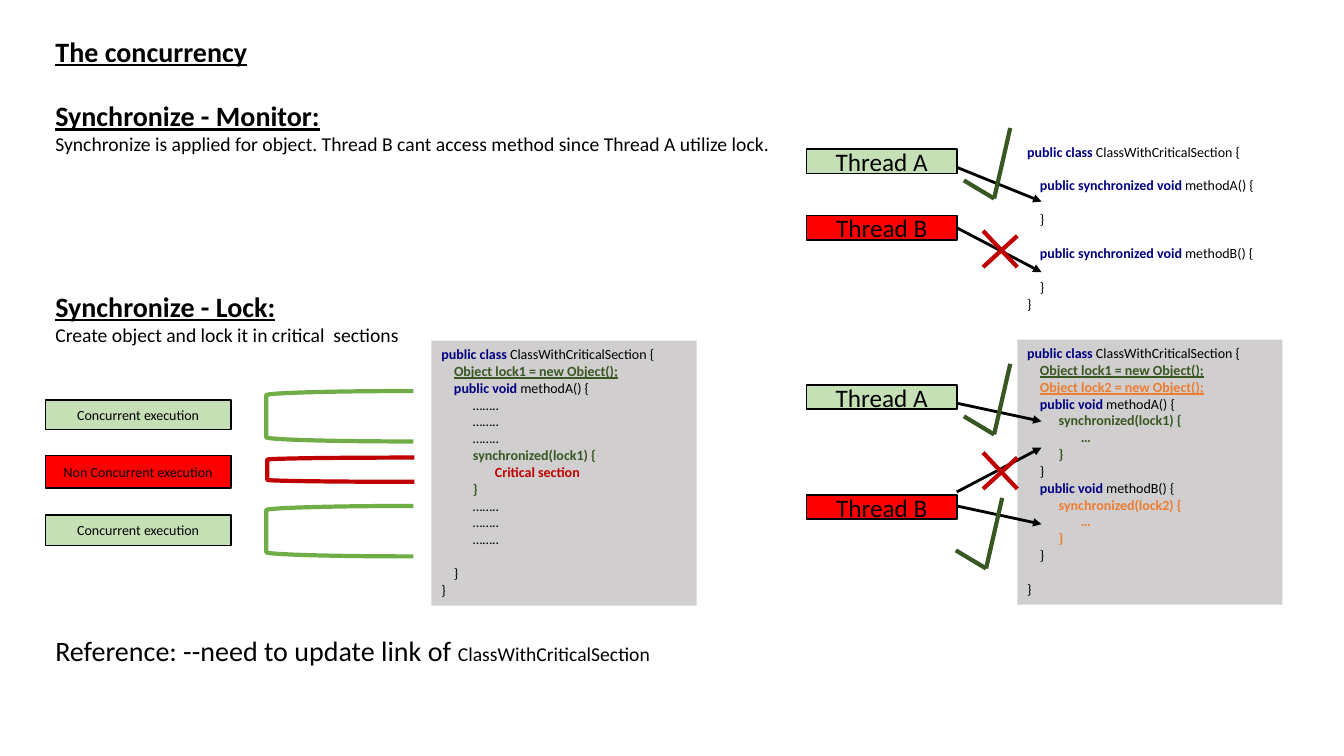
from lxml import etree
from pptx import Presentation
from pptx.dml.color import RGBColor
from pptx.enum.shapes import MSO_CONNECTOR, MSO_SHAPE
from pptx.enum.text import MSO_ANCHOR, MSO_AUTO_SIZE, PP_ALIGN
from pptx.oxml.ns import qn
from pptx.util import Inches, Pt

STRAIGHT = MSO_CONNECTOR.STRAIGHT
RECTANGLE, BRACKET = MSO_SHAPE.RECTANGLE, MSO_SHAPE.LEFT_BRACKET
TOP, MIDDLE = MSO_ANCHOR.TOP, MSO_ANCHOR.MIDDLE
LEFT, CENTER = PP_ALIGN.LEFT, PP_ALIGN.CENTER
NO_FIT = MSO_AUTO_SIZE.NONE

COLORS = {
    "black": "000000", "navy": "000080", "forest": "385723", "orange": "ED7D31",
    "crimson": "C00000", "red": "FF0000", "mint": "C5E0B4", "leaf": "70AD47",
    "gray": "D0CECE",
}
FONT = "Calibri"
LINE_HEIGHT = 12.2

CLASS_LINE = [("public class ", "navy"), ("ClassWithCriticalSection {", "black")]


def method_line(name, keywords="public void "):
    """Return the spans of a method header."""
    return [("    " + keywords, "navy"), (name + "() {", "black")]


def lock_line(name, color):
    """Return the spans of an underlined lock declaration."""
    return [("    ", "black"), (f"Object {name} = new Object();", color, True)]


def critical_lines(name, color, body):
    """Return the lines of a synchronized block."""
    return [
        [(f"          synchronized({name}) {{", color)],
        [("                 " + body[0], body[1])],
        [("          }", color)],
    ]


CLOSE_METHOD, CLOSE_CLASS = [("    }", "black")], [("}", "black")]
DOTS = [[("          ……..", "black")]] * 3
SYNCHRONIZED = "public synchronized void "

MONITOR_CODE = [
    CLASS_LINE, [], method_line("methodA", SYNCHRONIZED), [], CLOSE_METHOD,
    [], method_line("methodB", SYNCHRONIZED), [], CLOSE_METHOD, CLOSE_CLASS,
]
SECTION_CODE = [
    CLASS_LINE, lock_line("lock1", "forest"), method_line("methodA"), *DOTS,
    *critical_lines("lock1", "forest", ("Critical section", "crimson")),
    *DOTS, [], CLOSE_METHOD, CLOSE_CLASS,
]
LOCK_CODE = [
    CLASS_LINE, lock_line("lock1", "forest"), lock_line("lock2", "orange"),
    method_line("methodA"), *critical_lines("lock1", "forest", ("…", "forest")),
    CLOSE_METHOD, method_line("methodB"),
    *critical_lines("lock2", "orange", ("…", "orange")),
    CLOSE_METHOD, [], CLOSE_CLASS,
]


class SlideBuilder:
    """Hold the style and the current slide, and draw its elements."""

    def __init__(self, slide):
        self.slide = slide
        self.shapes = slide.shapes

    def start_group(self):
        """Send the next elements to a new group."""
        self.shapes = self.slide.shapes.add_group_shape().shapes

    def end_group(self):
        """Send the next elements to the slide itself."""
        self.shapes = self.slide.shapes

    def style(self, font, size, color="black", bold=False, underline=False):
        """Format a font."""
        font.name, font.size = FONT, Pt(size)
        font.bold, font.underline = bold, underline
        font.color.rgb = RGBColor.from_string(COLORS[color])

    def title(self, text, left, top, width, height):
        """Place and format the title placeholder."""
        title = self.slide.shapes.title
        title.left, title.top = Inches(left), Inches(top)
        title.width, title.height = Inches(width), Inches(height)
        frame = title.text_frame
        frame.text = text
        frame.auto_size, frame.word_wrap = NO_FIT, False
        frame.vertical_anchor = TOP
        frame.paragraphs[0].alignment = LEFT
        self.style(frame.paragraphs[0].font, 20, bold=True, underline=True)

    def text_box(self, left, top, width, height, wrap=False):
        """Add a text box and return its text frame."""
        box = self.shapes.add_textbox(*map(Inches, (left, top, width, height)))
        box.text_frame.word_wrap = wrap
        return box.text_frame

    def section(self, heading, body, top, width):
        """Add a section heading with one line of text below."""
        frame = self.text_box(0.45, top, width, 0.67)
        frame.text = heading
        self.style(frame.paragraphs[0].font, 20, bold=True, underline=True)
        para = frame.add_paragraph()
        para.text = body
        self.style(para.font, 14)

    def reference(self, text, name):
        """Add the reference line with a smaller class name."""
        para = self.text_box(0.45, 6.24, 6.16, 0.44).paragraphs[0]
        for words, size in ((text, 20), (name, 14)):
            span = para.add_run()
            span.text = words
            self.style(span.font, size)

    def shape(self, kind, left, top, width, height, fill=None, line=None, weight=1):
        """Add a preset shape."""
        shape = self.shapes.add_shape(kind, *map(Inches, (left, top, width, height)))
        shape.shadow.inherit = False
        if fill:
            shape.fill.solid()
            shape.fill.fore_color.rgb = RGBColor.from_string(COLORS[fill])
        else:
            shape.fill.background()
        if line:
            shape.line.color.rgb = RGBColor.from_string(COLORS[line])
            shape.line.width = Pt(weight)
        else:
            shape.line.fill.background()
        return shape

    def label(self, text, left, top, width, height, fill, size):
        """Add an outlined box with a centred label."""
        frame = self.shape(RECTANGLE, left, top, width, height, fill, "black").text_frame
        frame.text, frame.word_wrap = text, True
        frame.vertical_anchor = MIDDLE
        frame.paragraphs[0].alignment = CENTER
        self.style(frame.paragraphs[0].font, size)

    def thread(self, name, top, fill):
        """Add a thread box."""
        self.label(f"Thread {name}", 8, top, 1.49, 0.24, fill, 18)

    def code(self, lines, left, top, height, fill=None):
        """Add a code listing; an empty line becomes space before the next."""
        if fill:
            frame = self.shape(RECTANGLE, left, top, 2.63, height, fill).text_frame
            frame.word_wrap, frame.vertical_anchor = True, TOP
        else:
            frame = self.text_box(left, top, 2.63, height, True)
        para, gap = frame.paragraphs[0], 0
        for number, spans in enumerate(lines):
            if not spans:
                gap += LINE_HEIGHT
                continue
            if number:
                para = frame.add_paragraph()
                para.space_before = Pt(gap)
            para.alignment, gap = LEFT, 0
            for text, color, *underline in spans:
                span = para.add_run()
                span.text = text
                self.style(span.font, 10, color, color != "black", bool(underline))

    def line(self, start, end, color, weight=3, arrow=False):
        """Add a straight line, with an arrowhead if asked."""
        line = self.shapes.add_connector(STRAIGHT, *map(Inches, (*start, *end)))
        line.line.color.rgb = RGBColor.from_string(COLORS[color])
        line.line.width = Pt(weight)
        if arrow:
            etree.SubElement(line.line._get_or_add_ln(), qn("a:tailEnd"), type="triangle")
        etree.SubElement(line._element.spPr, qn("a:effectLst"))

    def arrow(self, start, end):
        """Add an arrow from a thread to the code."""
        self.line((9.49, start), (10.33, end), "black", 2, True)

    def cross(self, top):
        """Add a cross for refused access."""
        self.line((9.75, top), (10.09, top + 0.36), "crimson")
        self.line((9.75, top + 0.36), (10.09, top + 0.05), "crimson")

    def tick(self, left, top):
        """Add a tick for granted access."""
        corner = (left + 0.3, top + 0.18)
        self.line((left, top), corner, "forest")
        self.line(corner, (left + 0.46, top - 0.52), "forest")


def main():
    """Build the slide and save it."""
    deck = Presentation()
    deck.slide_width, deck.slide_height = Inches(13.33), Inches(7.5)
    page = SlideBuilder(deck.slides.add_slide(deck.slide_layouts[5]))
    page.title("The concurrency", 0.45, 0.29, 2.19, 0.44)
    page.section("Synchronize - Monitor:", "Synchronize is applied for object. Thread B cant "
                 "access method since Thread A utilize lock.", 0.93, 7.39)
    page.section("Synchronize - Lock:", "Create object and lock it in critical  sections", 2.82, 3.65)

    page.code(SECTION_CODE, 4.28, 3.38, 2.63, "gray")
    for text, top, height, fill, bracket, color in (
        ("Concurrent execution", 3.97, 0.29, "mint", (2.64, 3.88, 1.46, 0.5), "leaf"),
        ("Non Concurrent execution", 4.52, 0.32, "red", (2.65, 4.54, 1.46, 0.24), "crimson"),
        ("Concurrent execution", 5.11, 0.3, "mint", (2.64, 5.02, 1.46, 0.5), "leaf"),
    ):
        page.shape(BRACKET, *bracket, line=color, weight=3)
        page.label(text, 0.45, top, 1.84, height, fill, 10)

    for code, code_top, height, fill, threads, arrows, cross, ticks in (
        (MONITOR_CODE, 1.37, 1.78, None, (1.48, 2.14),
         ((1.66, 2), (2.26, 2.7)), 2.29, ((9.56, 1.79),)),
        (LOCK_CODE, 3.37, 2.63, "gray", (3.82, 4.91),
         ((4, 4.18), (5.02, 5.2), (4.88, 4.44)), 4.49, ((9.56, 4.13), (9.48, 5.46))),
    ):
        page.start_group()
        page.code(code, 10.09, code_top, height, fill)
        for name, top, color in zip("AB", threads, ("mint", "red")):
            page.thread(name, top, color)
        for start, end in arrows:
            page.arrow(start, end)
        page.cross(cross)
        for left, top in ticks:
            page.tick(left, top)
    page.end_group()
    page.reference("Reference: --need to update link of ", "ClassWithCriticalSection")
    deck.save("out.pptx")


if __name__ == "__main__":
    main()
